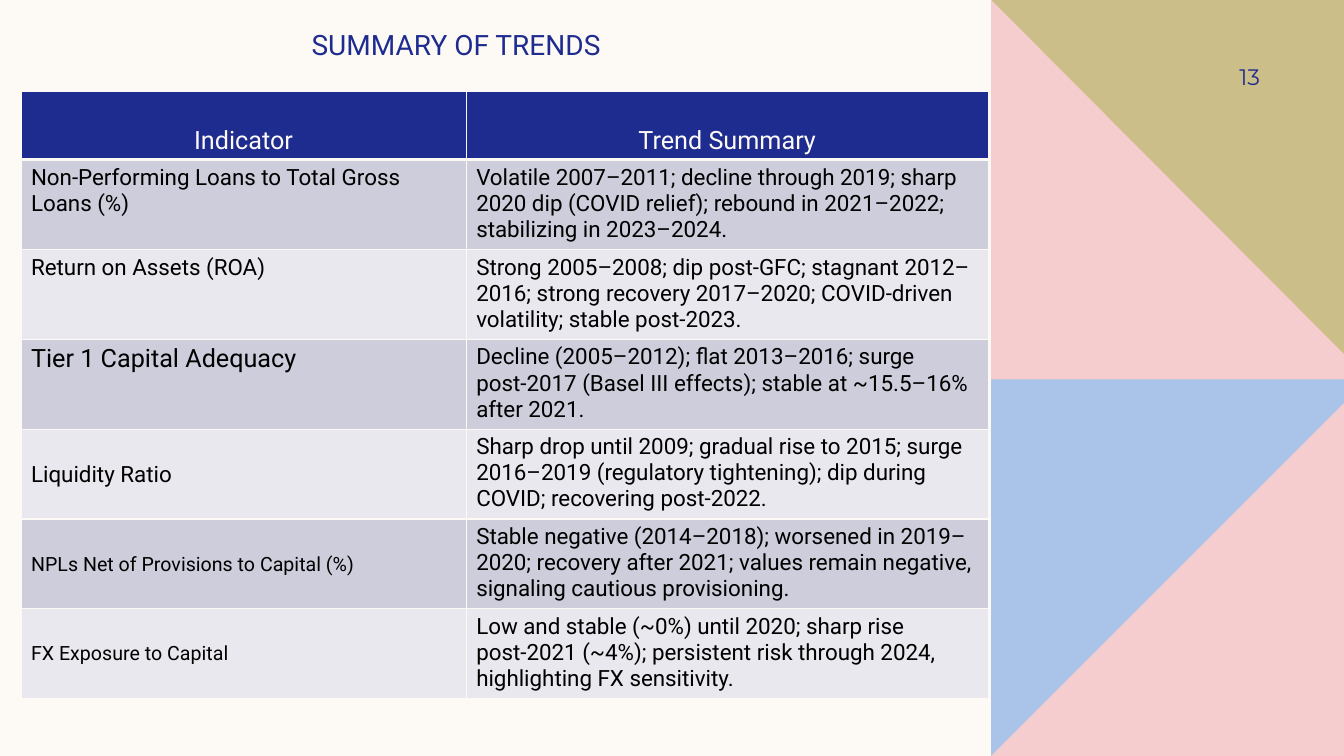
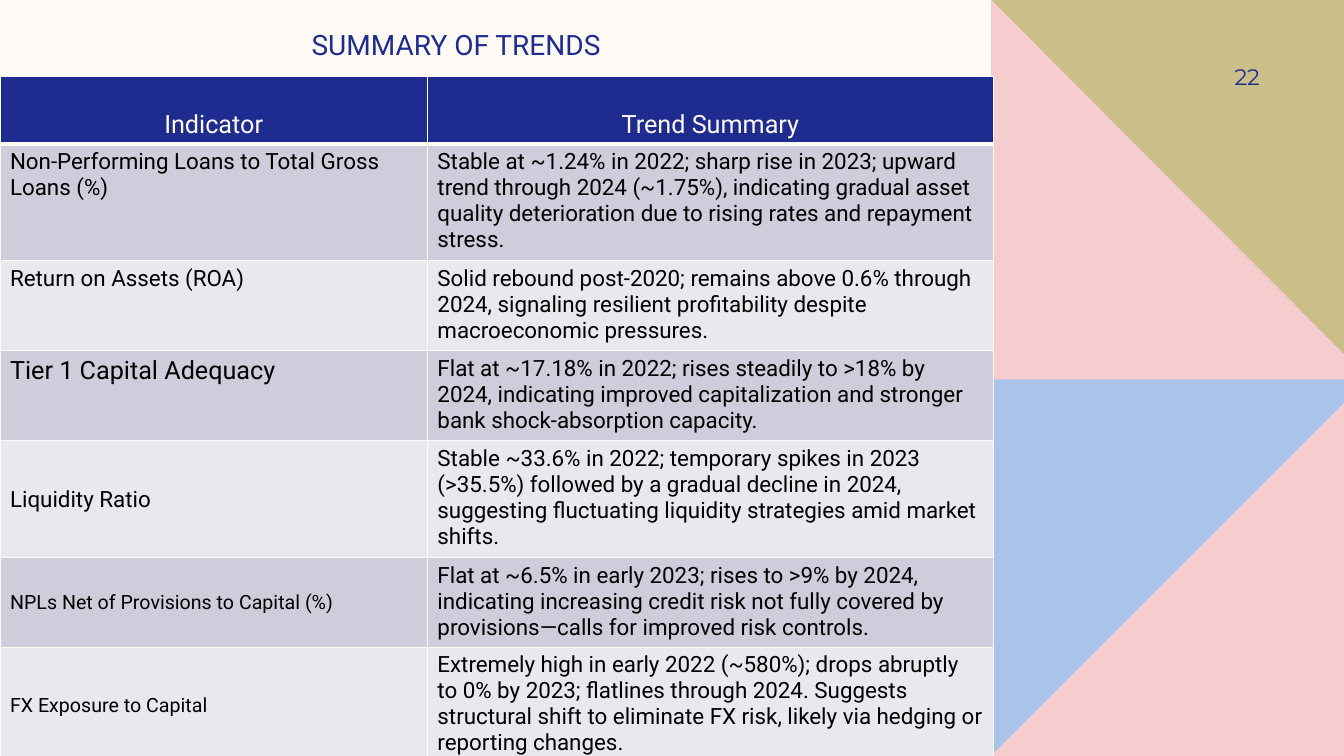
from lxml import etree
from pptx import Presentation
from pptx.dml.color import RGBColor
from pptx.enum import text
from pptx.oxml import ns
from pptx.util import Pt

COLOURS = {
    "cream": "FDFAF6", "navy": "1F2C8F", "black": "000000",
    "sky": "AAC3E8", "pink": "F5CDCE", "sand": "CCBE89",
    "band_dark": "CDCDDB", "band_light": "E8E8EE",
}
WIDTH, HEIGHT = 960, 540
PANEL_LEFT, PANEL_MIDDLE = 708, 271
PANEL = [
    ("sky", [(PANEL_LEFT, PANEL_MIDDLE), (WIDTH, PANEL_MIDDLE),
             (WIDTH, HEIGHT), (PANEL_LEFT, HEIGHT)]),
    ("pink", [(WIDTH, 288), (WIDTH, HEIGHT), (PANEL_LEFT, HEIGHT)]),
    ("sand", [(PANEL_LEFT, 0), (WIDTH, 0),
              (WIDTH, PANEL_MIDDLE), (PANEL_LEFT, PANEL_MIDDLE)]),
    ("pink", [(PANEL_LEFT, 0), (WIDTH, 253),
              (WIDTH, PANEL_MIDDLE), (PANEL_LEFT, PANEL_MIDDLE)]),
]

TITLE = "SUMMARY OF TRENDS"
HEADERS = ["Indicator", "Trend Summary"]
TOP, MIDDLE, BOTTOM = (text.MSO_ANCHOR.TOP, text.MSO_ANCHOR.MIDDLE,
                       text.MSO_ANCHOR.BOTTOM)
# Indicator, text size, vertical anchor
INDICATORS = [
    ("Non-Performing Loans to Total Gross Loans (%)", 16, TOP),
    ("Return on Assets (ROA)", 16, TOP),
    ("Tier 1 Capital Adequacy", 18, TOP),
    ("Liquidity Ratio", 16, MIDDLE),
    ("NPLs Net of Provisions to Capital (%)", 14, MIDDLE),
    ("FX Exposure to Capital", 14, MIDDLE),
]
PAGES = [
    {"number": "13", "left": 15, "top": 65.5, "columns": (318, 373), "trends": [
        "Volatile 2007–2011; decline through 2019; sharp 2020 dip (COVID relief); "
        "rebound in 2021–2022; stabilizing in 2023–2024.",
        "Strong 2005–2008; dip post-GFC; stagnant 2012–2016; strong recovery "
        "2017–2020; COVID-driven volatility; stable post-2023.",
        "Decline (2005–2012); flat 2013–2016; surge post-2017 (Basel III effects); "
        "stable at ~15.5–16% after 2021.",
        "Sharp drop until 2009; gradual rise to 2015; surge 2016–2019 (regulatory "
        "tightening); dip during COVID; recovering post-2022.",
        "Stable negative (2014–2018); worsened in 2019–2020; recovery after 2021; "
        "values remain negative, signaling cautious provisioning.",
        "Low and stable (~0%) until 2020; sharp rise post-2021 (~4%); persistent "
        "risk through 2024, highlighting FX sensitivity.",
    ]},
    {"number": "22", "left": 0, "top": 54.5, "columns": (305.3, 404.4), "trends": [
        "Stable at ~1.24% in 2022; sharp rise in 2023; upward trend through 2024 "
        "(~1.75%), indicating gradual asset quality deterioration due to rising "
        "rates and repayment stress.",
        "Solid rebound post-2020; remains above 0.6% through 2024, signaling "
        "resilient profitability despite macroeconomic pressures.",
        "Flat at ~17.18% in 2022; rises steadily to >18% by 2024, indicating "
        "improved capitalization and stronger bank shock-absorption capacity.",
        "Stable ~33.6% in 2022; temporary spikes in 2023 (>35.5%) followed by a "
        "gradual decline in 2024, suggesting fluctuating liquidity strategies amid "
        "market shifts.",
        "Flat at ~6.5% in early 2023; rises to >9% by 2024, indicating increasing "
        "credit risk not fully covered by provisions—calls for improved risk "
        "controls.",
        "Extremely high in early 2022 (~580%); drops abruptly to 0% by 2023; "
        "flatlines through 2024. Suggests structural shift to eliminate FX risk, "
        "likely via hedging or reporting changes.",
    ]},
]
# Least heights: a trend row grows to fit its text
HEADER_HEIGHT, ROW_HEIGHT = 48.5, 57.6

LEFT, CENTRE, RIGHT = (text.PP_ALIGN.LEFT, text.PP_ALIGN.CENTER,
                       text.PP_ALIGN.RIGHT)


def colour(name):
    return RGBColor.from_string(COLOURS[name])


def paint(fill, name):
    fill.solid()
    fill.fore_color.rgb = colour(name)


def write(frame, words, size, ink, align=LEFT, font="Roboto"):
    para = frame.paragraphs[0]
    para.alignment = align
    span = para.add_run()
    span.text = words
    for key, value in {"name": font, "size": Pt(size), "bold": False}.items():
        setattr(span.font, key, value)
    span.font.color.rgb = colour(ink)


def add_label(page, place, words, size, **style):
    box = page.shapes.add_textbox(*map(Pt, place))
    frame = box.text_frame
    settings = {"word_wrap": True, "vertical_anchor": MIDDLE,
                "margin_right": 0, "margin_top": 0, "margin_bottom": 0}
    for key, value in settings.items():
        setattr(frame, key, value)
    write(frame, words, size, "navy", **style)


def add_panel(page):
    for name, points in PANEL:
        corners = [(Pt(x), Pt(y)) for x, y in points]
        outline = page.shapes.build_freeform(*corners[0])
        outline.add_line_segments(corners[1:], close=True)
        shape = outline.convert_to_shape()
        shape.shadow.inherit = False
        shape.line.fill.background()
        paint(shape.fill, name)


def add_borders(cell, **widths):
    """Draw cream borders; widths maps the sides L, R, T, B to points."""
    properties = cell._tc.get_or_add_tcPr()
    for side, width in widths.items():
        line = etree.SubElement(properties, ns.qn(f"a:ln{side}"), w=str(Pt(width)))
        fill = etree.SubElement(line, ns.qn("a:solidFill"))
        etree.SubElement(fill, ns.qn("a:srgbClr"), val=COLOURS["cream"])


def add_trend_table(page, content):
    rows = [[(words, 18, BOTTOM) for words in HEADERS]]
    rows += [[indicator, (trend, 16, TOP)]
             for indicator, trend in zip(INDICATORS, content["trends"])]
    heights = [HEADER_HEIGHT] + [ROW_HEIGHT] * len(INDICATORS)
    widths = content["columns"]
    place = content["left"], content["top"], sum(widths), sum(heights)
    table = page.shapes.add_table(len(heights), len(widths), *map(Pt, place)).table
    for column, width in zip(table.columns, widths):
        column.width = Pt(width)
    for row, height in zip(table.rows, heights):
        row.height = Pt(height)

    for i, row in enumerate(rows):
        header = i == 0
        band = "navy" if header else "band_dark" if i % 2 else "band_light"
        for j, (words, size, anchor) in enumerate(row):
            cell = table.cell(i, j)
            add_borders(cell, L=1, R=1, T=3 if i == 1 else 1, B=3 if header else 1)
            paint(cell.fill, band)
            cell.vertical_anchor = anchor
            cell.margin_bottom = Pt(3)
            write(cell.text_frame, words, size, "cream" if header else "black",
                  align=CENTRE if header else LEFT)


def main():
    deck = Presentation()
    deck.slide_width, deck.slide_height = Pt(WIDTH), Pt(HEIGHT)
    paint(deck.slide_master.background.fill, "cream")
    for content in PAGES:
        page = deck.slides.add_slide(deck.slide_layouts[6])
        add_panel(page)
        add_label(page, (215.5, 17.5, 480, 29), TITLE, 20)
        add_label(page, (822, 36, 78, 37), content["number"], 16,
                  align=RIGHT, font="Montserrat")
        add_trend_table(page, content)
    deck.save("out.pptx")


if __name__ == "__main__":
    main()
